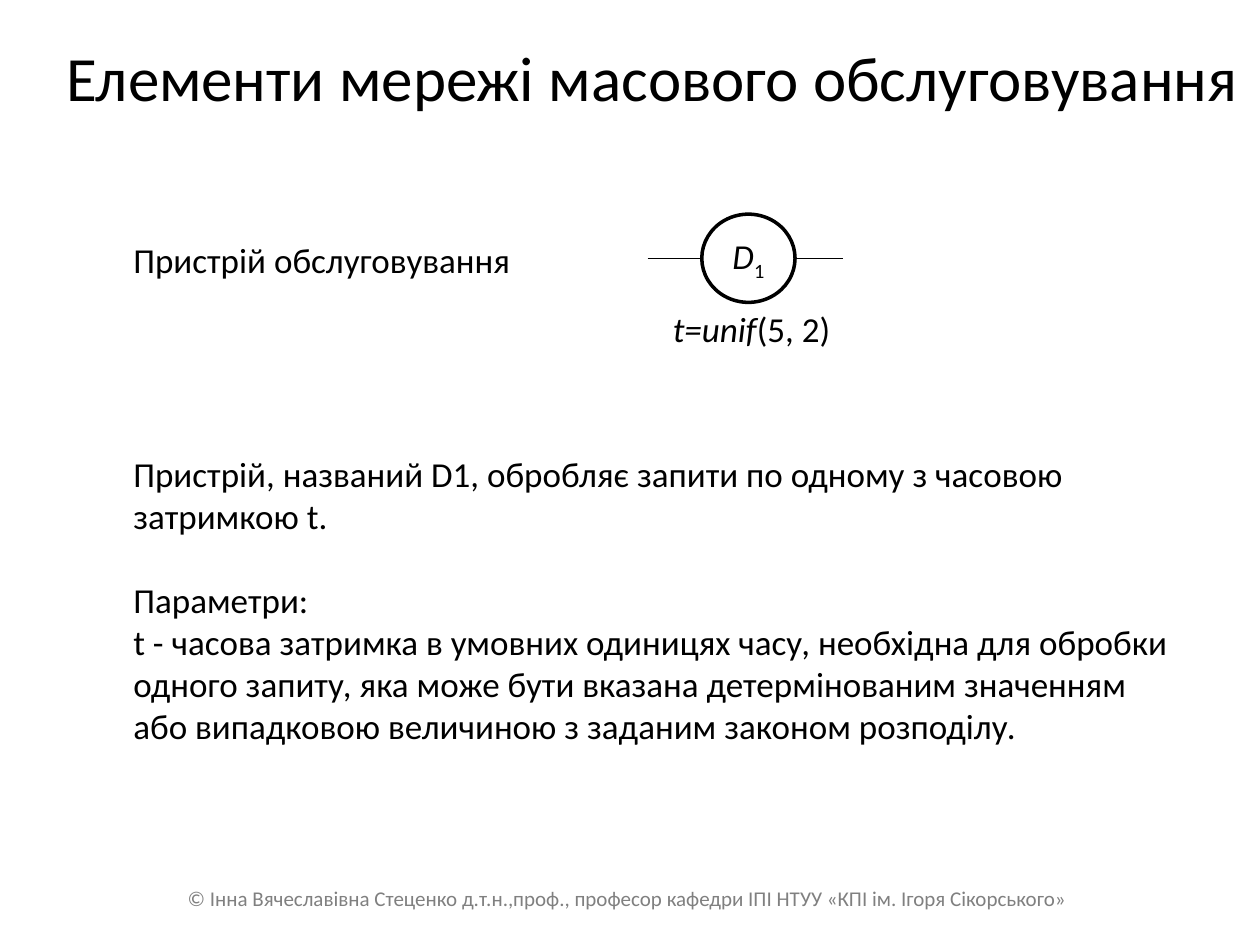
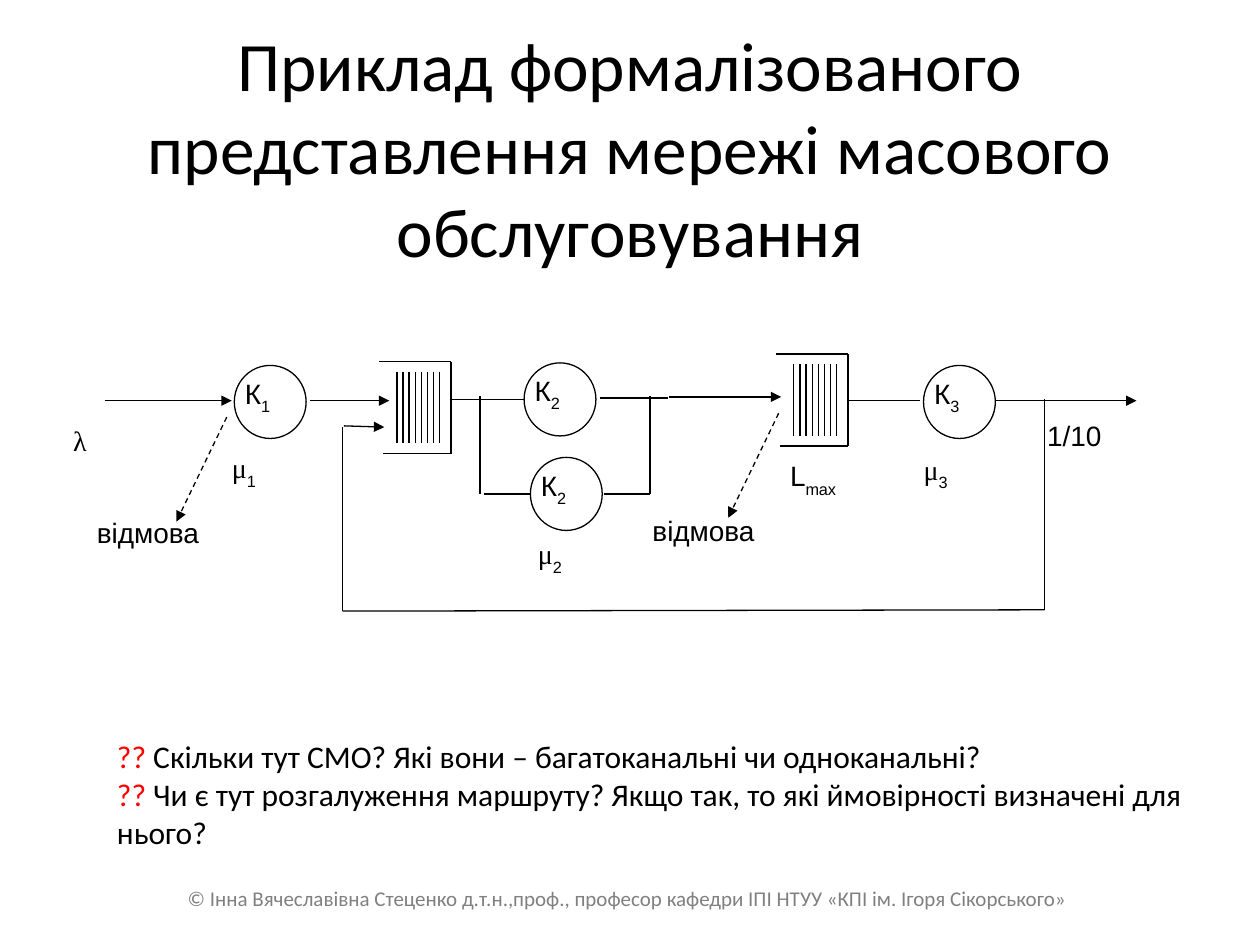
from dataclasses import dataclass

from lxml import etree
from pptx import Presentation
from pptx.dml.color import RGBColor
from pptx.enum.dml import MSO_LINE
from pptx.enum.shapes import MSO_CONNECTOR, MSO_SHAPE
from pptx.enum.text import MSO_ANCHOR, MSO_AUTO_SIZE, PP_ALIGN
from pptx.oxml.ns import qn
from pptx.presentation import Presentation as Deck
from pptx.slide import Slide
from pptx.text.text import TextFrame
from pptx.util import Inches, Pt

LEFT, CENTER = PP_ALIGN.LEFT, PP_ALIGN.CENTER
TOP, MIDDLE = MSO_ANCHOR.TOP, MSO_ANCHOR.MIDDLE
NO_AUTO_SIZE = MSO_AUTO_SIZE.NONE
OVAL, RECTANGLE = MSO_SHAPE.OVAL, MSO_SHAPE.RECTANGLE
STRAIGHT = MSO_CONNECTOR.STRAIGHT
DASH = MSO_LINE.DASH
TITLE_ONLY = 5


@dataclass(frozen=True)
class Theme:
    text: str = "000000"
    muted: str = "808080"
    accent: str = "FF0000"
    paper: str = "FFFFFF"
    body_font: str = "Calibri"
    diagram_font: str = "Arial"
    greek_font: str = "Times New Roman"
    long_title: float = 39.6
    title: float = 36
    body: float = 20
    question: float = 18
    diagram: float = 16
    footer: float = 12
    thin: float = 0.75
    thick: float = 2


THEME = Theme()
FOOTER = ("© Інна Вячеславівна Стеценко д.т.н.,проф., професор кафедри ІПІ НТУУ "
          "«КПІ ім. Ігоря Сікорського»")


@dataclass(frozen=True)
class Span:
    text: str
    size: float = THEME.body
    font: str = THEME.body_font
    color: str = THEME.text
    italic: bool = False
    baseline: int = 0


@dataclass(frozen=True)
class Line:
    spans: tuple[Span, ...]
    space_before: float = 0


@dataclass(frozen=True)
class Box:
    left: float
    top: float
    width: float
    height: float


@dataclass(frozen=True)
class Label:
    box: Box
    lines: tuple[Line, ...]
    align: PP_ALIGN = LEFT
    anchor: MSO_ANCHOR = TOP
    insets: tuple[float, float] = (0.1, 0.05)
    shape_type: MSO_SHAPE | None = None
    outline: float = 0


@dataclass(frozen=True)
class Link:
    start: tuple[float, float]
    end: tuple[float, float]
    arrow: bool = False
    dashed: bool = False


def fill_text(frame: TextFrame, label: Label) -> None:
    across, down = (Inches(inset) for inset in label.insets)
    frame_format = {
        "word_wrap": True, "auto_size": NO_AUTO_SIZE, "vertical_anchor": label.anchor,
        "margin_left": across, "margin_right": across,
        "margin_top": down, "margin_bottom": down,
    }
    for name, value in frame_format.items():
        setattr(frame, name, value)
    for index, line in enumerate(label.lines):
        paragraph = frame.add_paragraph() if index else frame.paragraphs[0]
        paragraph.alignment = label.align
        paragraph.space_before = Pt(line.space_before)
        for span in line.spans:
            run = paragraph.add_run()
            run.text = span.text
            font_format = {"name": span.font, "size": Pt(span.size),
                           "italic": span.italic, "bold": False}
            for name, value in font_format.items():
                setattr(run.font, name, value)
            run.font.color.rgb = RGBColor.from_string(span.color)
            if span.baseline:
                run._r.get_or_add_rPr().set("baseline", str(span.baseline * 1000))


def bounds(box: Box) -> tuple[Inches, ...]:
    return tuple(Inches(value) for value in (box.left, box.top, box.width, box.height))


def add_label(slide: Slide, label: Label) -> None:
    if label.shape_type is None:
        shape = slide.shapes.add_textbox(*bounds(label.box))
    else:
        shape = slide.shapes.add_shape(label.shape_type, *bounds(label.box))
        shape.shadow.inherit = False
        shape.fill.solid()
        shape.fill.fore_color.rgb = RGBColor.from_string(THEME.paper)
        if label.outline:
            shape.line.color.rgb = RGBColor.from_string(THEME.text)
            shape.line.width = Pt(label.outline)
        else:
            shape.line.fill.background()
    fill_text(shape.text_frame, label)


def add_link(slide: Slide, link: Link) -> None:
    points = (Inches(value) for value in (*link.start, *link.end))
    connector = slide.shapes.add_connector(STRAIGHT, *points)
    connector.line.color.rgb = RGBColor.from_string(THEME.text)
    connector.line.width = Pt(THEME.thin)
    if link.dashed:
        connector.line.dash_style = DASH
    properties = connector._element.spPr
    if link.arrow:
        etree.SubElement(properties.find(qn("a:ln")), qn("a:tailEnd"), type="triangle")
    etree.SubElement(properties, qn("a:effectLst"))


def add_base_slide(presentation: Deck, title: str, box: Box, size: float) -> Slide:
    slide = presentation.slides.add_slide(presentation.slide_layouts[TITLE_ONLY])
    placeholder = slide.shapes.title
    for name, value in zip(("left", "top", "width", "height"), bounds(box)):
        setattr(placeholder, name, value)
    heading = Line((Span(title, size),))
    fill_text(placeholder.text_frame, Label(box, (heading,), CENTER, MIDDLE))
    credit = Line((Span(FOOTER, THEME.footer, color=THEME.muted),))
    add_label(slide, Label(Box(0.48, 6.98, 9, 0.3), (credit,), CENTER))
    return slide


def symbol(base: str, index: str = "", font: str = THEME.diagram_font) -> tuple[Line, ...]:
    spans = (Span(base, THEME.diagram, font),)
    if index:
        spans += (Span(index, THEME.diagram, THEME.diagram_font, baseline=-30),)
    return (Line(spans),)


def add_buffer(slide: Slide, left: float, top: float) -> None:
    bars, pitch = 8, 0.34 / 7
    right, roof, floor = left + 0.43, top - 0.08, top + 0.65
    for index in range(bars):
        bar = left + index * pitch
        add_link(slide, Link((bar, top), (bar, top + 0.57)))
    add_link(slide, Link((left - 0.14, roof), (right, roof)))
    add_link(slide, Link((left - 0.11, floor), (right, floor)))
    add_link(slide, Link((right, roof), (right, floor)))


def build_device_slide(presentation: Deck) -> None:
    slide = add_base_slide(presentation, "Елементи мережі масового обслуговування",
                           Box(0.35, 0.21, 9.65, 0.79), THEME.title)
    add_label(slide, Label(Box(0.96, 1.84, 4.17, 0.44),
                           (Line((Span("Пристрій обслуговування"),)),)))
    description = (
        Line((Span("Пристрій, названий D1, обробляє запити по одному з часовою "
                   "затримкою t."),)),
        Line((Span("Параметри:"),), space_before=24),
        Line((Span("t - часова затримка в умовних одиницях часу, необхідна для обробки "
                   "одного запиту, яка може бути вказана детермінованим значенням або "
                   "випадковою величиною з заданим законом розподілу."),)),
    )
    add_label(slide, Label(Box(0.96, 3.54, 8.52, 2.46), description))
    add_link(slide, Link((5.14, 2.05), (6.69, 2.05)))
    delay = Line((Span("t=unif", italic=True), Span("(5, 2)")))
    device = Line((Span("D", italic=True), Span("1", baseline=-25)))
    tight = (0.02, 0.01)
    add_label(slide, Label(Box(5.13, 2.43, 1.67, 0.49), (delay,), CENTER, insets=tight))
    add_label(slide, Label(Box(5.57, 1.7, 0.74, 0.7), (device,), CENTER, MIDDLE,
                           tight, OVAL, THEME.thick))


def build_network_slide(presentation: Deck) -> None:
    slide = add_base_slide(
        presentation, "Приклад формалізованого представлення мережі масового обслуговування",
        Box(0.5, 0.3, 9, 1.73), THEME.long_title)

    for left, top in ((0.67, 4.04), (5.08, 4.03)):
        add_label(slide, Label(Box(left, top, 1.29, 0.54), symbol("відмова"),
                               shape_type=RECTANGLE))

    for left, top in ((3.15, 2.95), (6.3, 2.89)):
        add_buffer(slide, left, top)

    links = (
        Link((0.83, 3.18), (1.84, 3.18), arrow=True),
        Link((2.46, 3.18), (3.09, 3.18), arrow=True),
        Link((3.58, 3.17), (4.16, 3.17)),
        Link((3.81, 3.92), (3.81, 3.14)),
        Link((3.84, 3.92), (4.21, 3.92)),
        Link((4.76, 3.16), (5.3, 3.16)),
        Link((4.79, 3.92), (5.16, 3.92)),
        Link((5.16, 3.92), (5.16, 3.14)),
        Link((5.31, 3.15), (6.2, 3.15), arrow=True),
        Link((6.73, 3.18), (7.3, 3.18)),
        Link((7.9, 3.18), (9.02, 3.18), arrow=True),
        Link((8.29, 3.17), (8.29, 4.84)),
        Link((8.29, 4.84), (2.72, 4.85)),
        Link((2.72, 4.85), (2.72, 3.39)),
        Link((2.73, 3.38), (3.05, 3.39), arrow=True),
        Link((1.8, 3.31), (1.4, 4.14), arrow=True, dashed=True),
        Link((6.18, 3.28), (5.78, 4.11), arrow=True, dashed=True),
    )
    for link in links:
        add_link(slide, link)

    channels = (("1", 1.86, 2.9), ("2", 4.16, 2.88), ("2", 4.21, 3.63), ("3", 7.33, 2.9))
    for index, left, top in channels:
        add_label(slide, Label(Box(left, top, 0.57, 0.58), symbol("К", index),
                               insets=(0, 0), shape_type=OVAL, outline=THEME.thin))

    greek = THEME.greek_font
    captions = (
        (Box(0.58, 3.36, 0.89, 0.46), symbol("λ", font=greek)),
        (Box(1.84, 3.58, 0.6, 0.43), symbol("μ", "1", greek)),
        (Box(4.27, 4.26, 0.54, 0.48), symbol("μ", "2", greek)),
        (Box(7.33, 3.59, 0.66, 0.51), symbol("μ", "3", greek)),
        (Box(6.27, 3.64, 0.52, 0.49), symbol("L", "max")),
    )
    for box, lines in captions:
        add_label(slide, Label(box, lines, insets=(0, 0)))
    add_label(slide, Label(Box(8.31, 3.32, 0.61, 0.31), symbol("1/10"),
                           insets=(0, 0), shape_type=RECTANGLE))

    questions = (
        " Скільки тут СМО? Які вони – багатоканальні чи одноканальні?",
        " Чи є тут розгалуження маршруту? Якщо так, то які ймовірності визначені для нього?",
    )
    marker = Span("??", THEME.question, color=THEME.accent)
    lines = tuple(Line((marker, Span(question, THEME.question))) for question in questions)
    add_label(slide, Label(Box(0.83, 5.8, 8.91, 1.31), lines))


def main() -> None:
    presentation = Presentation()
    presentation.slide_width = Inches(10)
    presentation.slide_height = Inches(7.5)
    build_device_slide(presentation)
    build_network_slide(presentation)
    presentation.save("out.pptx")


if __name__ == "__main__":
    main()
